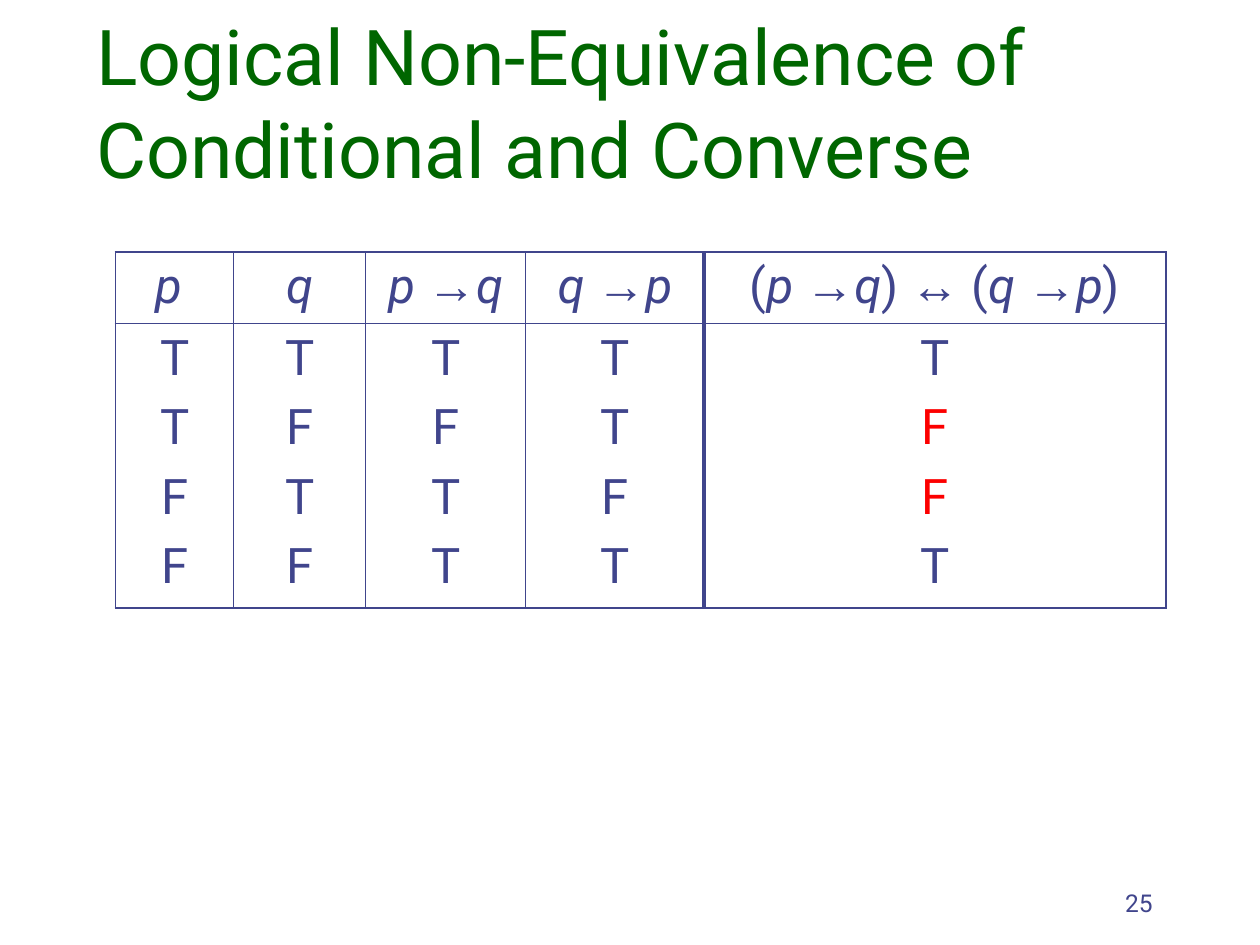
from dataclasses import dataclass
from itertools import groupby

from lxml import etree
from pptx import Presentation
from pptx.dml.color import RGBColor
from pptx.enum.text import MSO_ANCHOR, PP_ALIGN
from pptx.oxml.ns import qn
from pptx.util import Cm, Pt

BLUE = RGBColor(0x40, 0x45, 0x8C)
GREEN = RGBColor(0x00, 0x66, 0x00)
RED = RGBColor(0xFC, 0x00, 0x00)
LEFT, CENTER, RIGHT = PP_ALIGN.LEFT, PP_ALIGN.CENTER, PP_ALIGN.RIGHT
BOTTOM = MSO_ANCHOR.BOTTOM

FONT, ARROW_FONT = "Roboto", "Arial"
ARROWS = "→↔"
THIN, OUTER, DIVIDER = Pt(0.45), Pt(1.08), Pt(3)
HEAD_HEIGHT, BODY_HEIGHT = Cm(1.43), Cm(5.74)


@dataclass
class Column:
    head: str
    values: str
    width: Cm
    left: Pt = THIN
    right: Pt = THIN
    false_color: RGBColor = BLUE


COLUMNS = [
    Column("p ", "TTFF", Cm(2.38), left=OUTER),
    Column("q", "TFTF", Cm(2.66)),
    Column("p →q", "TFTT", Cm(3.23)),
    Column("q →p", "TTFT", Cm(3.59), right=DIVIDER),
    Column("(p →q) ↔ (q →p)", "TFFT", Cm(9.31), DIVIDER, OUTER, RED),
]


def style(p, size: int, color: RGBColor, align: PP_ALIGN) -> None:
    p.alignment = align
    p.font.name = FONT
    p.font.size = Pt(size)
    p.font.color.rgb = color


def add_text(s, text: str, box: tuple, size: int, color: RGBColor, align: PP_ALIGN) -> None:
    tf = s.shapes.add_textbox(*box).text_frame
    tf.word_wrap = True
    tf.vertical_anchor = BOTTOM
    p = tf.paragraphs[0]
    p.text = text
    style(p, size, color, align)


def add_formula(p, text: str) -> None:
    """Variables are italic; arrows use their own font."""
    for (is_arrow, is_variable), chars in groupby(text, lambda c: (c in ARROWS, c in "pq")):
        r = p.add_run()
        r.text = "".join(chars)
        if is_arrow:
            r.font.name = ARROW_FONT
        if is_variable:
            r.font.italic = True


def set_borders(cell, left: Pt, right: Pt, top: Pt, bottom: Pt) -> None:
    tc_pr = cell._tc.get_or_add_tcPr()
    for side, width in zip("LRTB", (left, right, top, bottom)):
        ln = etree.SubElement(tc_pr, qn(f"a:ln{side}"), w=str(int(width)))
        fill = etree.SubElement(ln, qn("a:solidFill"))
        etree.SubElement(fill, qn("a:srgbClr"), val=str(BLUE))
    cell.fill.background()


def add_truth_table(s, left: Cm, top: Cm) -> None:
    width = sum(column.width for column in COLUMNS)
    height = HEAD_HEIGHT + BODY_HEIGHT
    table = s.shapes.add_table(2, len(COLUMNS), left, top, width, height).table
    table.first_row = table.horz_banding = False
    table.rows[0].height, table.rows[1].height = HEAD_HEIGHT, BODY_HEIGHT

    for i, column in enumerate(COLUMNS):
        table.columns[i].width = column.width
        head, body = table.cell(0, i), table.cell(1, i)
        set_borders(head, column.left, column.right, OUTER, THIN)
        set_borders(body, column.left, column.right, THIN, OUTER)

        p = head.text_frame.paragraphs[0]
        add_formula(p, column.head)
        style(p, 28, BLUE, CENTER)

        # One paragraph per truth value
        tf = body.text_frame
        for row, value in enumerate(column.values):
            p = tf.add_paragraph() if row else tf.paragraphs[0]
            p.text = value
            style(p, 28, column.false_color if value == "F" else BLUE, CENTER)
            if row:
                p.space_before = Pt(7)


def main() -> None:
    prs = Presentation()
    prs.slide_width, prs.slide_height = Cm(25.4), Cm(19.05)
    s = prs.slides.add_slide(prs.slide_layouts[6])

    # Slide number and title
    add_text(s, "25", (Cm(18.2), Cm(17.35), Cm(5.29), Cm(1.27)), 14, BLUE, RIGHT)
    add_text(s, "Logical Non-Equivalence of Conditional and Converse",
             (Cm(1.69), Cm(0.85), Cm(21.59), Cm(3.18)), 44, GREEN, LEFT)

    # Truth table
    add_truth_table(s, Cm(2.33), Cm(5.08))
    prs.save("out.pptx")


if __name__ == "__main__":
    main()
